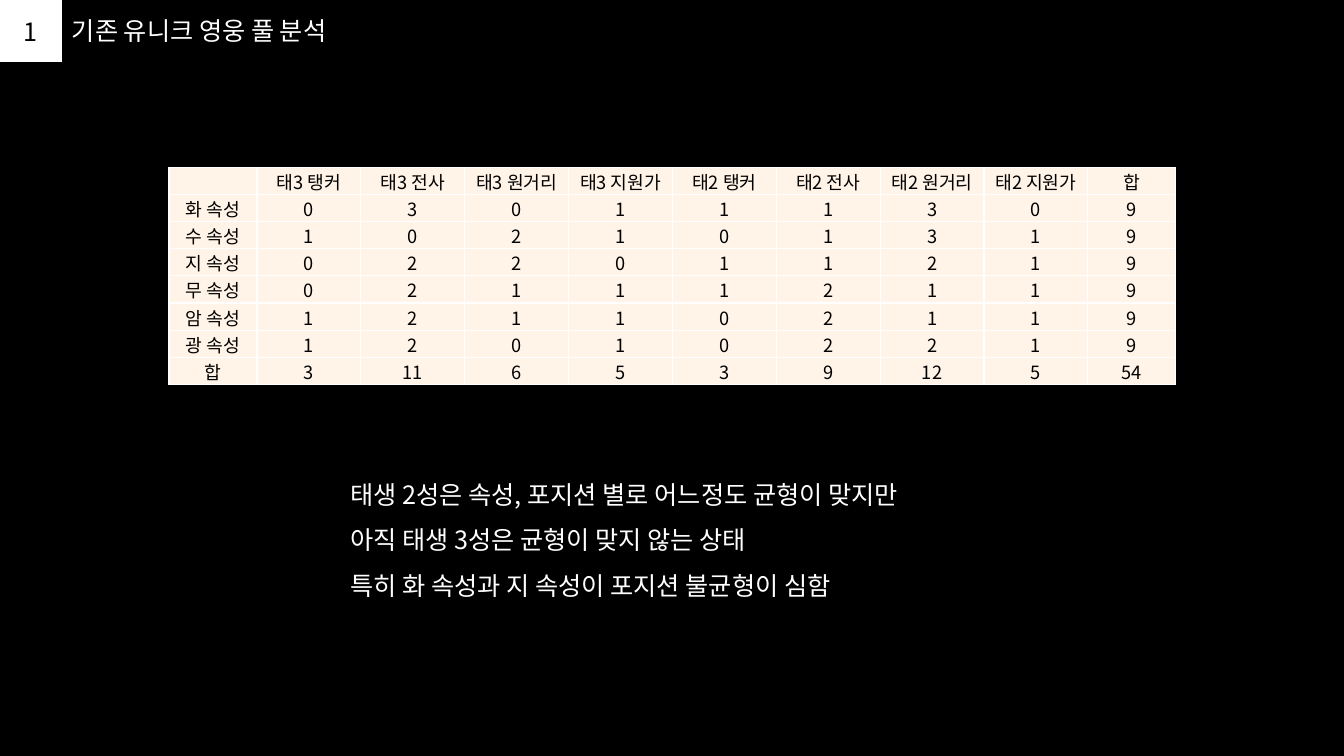
"""Builds the slide that analyses the existing unique hero pool."""
from lxml import etree
from pptx import Presentation
from pptx.dml.color import RGBColor
from pptx.enum.shapes import MSO_SHAPE
from pptx.enum.text import MSO_ANCHOR, MSO_AUTO_SIZE, PP_ALIGN
from pptx.oxml.ns import qn
from pptx.util import Pt

SECTION = "1"
TITLE = "기존 유니크 영웅 풀 분석"
HERO_COUNTS = [
    ("", "태3 탱커", "태3 전사", "태3 원거리", "태3 지원가",
     "태2 탱커", "태2 전사", "태2 원거리", "태2 지원가", "합"),
    ("화 속성", 0, 3, 0, 1, 1, 1, 3, 0, 9),
    ("수 속성", 1, 0, 2, 1, 0, 1, 3, 1, 9),
    ("지 속성", 0, 2, 2, 0, 1, 1, 2, 1, 9),
    ("무 속성", 0, 2, 1, 1, 1, 2, 1, 1, 9),
    ("암 속성", 1, 2, 1, 1, 0, 2, 1, 1, 9),
    ("광 속성", 1, 2, 0, 1, 0, 2, 2, 1, 9),
    ("합", 3, 11, 6, 5, 3, 9, 12, 5, 54),
]
FINDINGS = [
    "태생 2성은 속성, 포지션 별로 어느정도 균형이 맞지만",
    "아직 태생 3성은 균형이 맞지 않는 상태",
    "특히 화 속성과 지 속성이 포지션 불균형이 심함",
]

COLORS = {"black": "000000", "white": "FFFFFF", "cream": "FFF4E7"}
FONT = "Noto Sans CJK KR"
LEFT, CENTER = PP_ALIGN.LEFT, PP_ALIGN.CENTER
TOP, MIDDLE = MSO_ANCHOR.TOP, MSO_ANCHOR.MIDDLE
BADGE_SIDE = 44.2
EDGE_WIDTH, INNER_WIDTH, ROW_HEIGHT = 62.9, 74.2, 19.1


def rgb(name):
    return RGBColor.from_string(COLORS[name])


def write(frame, text, size=18, color="white", align=LEFT, anchor=MIDDLE, spacing=None):
    frame.word_wrap = True
    frame.vertical_anchor = anchor
    for index, line in enumerate(text.split("\n")):
        paragraph = frame.add_paragraph() if index else frame.paragraphs[0]
        paragraph.alignment = align
        if spacing:
            paragraph.line_spacing = spacing
        if not line:
            etree.SubElement(paragraph._p, qn("a:endParaRPr"), sz=str(size * 100))
            continue
        run = paragraph.add_run()
        run.text = line
        run.font.size = Pt(size)
        run.font.name = FONT
        run.font.color.rgb = rgb(color)
        etree.SubElement(run.font._element, qn("a:ea"), typeface=FONT)


def outline_cell(cell):
    properties = cell._tc.get_or_add_tcPr()
    for position, side in enumerate(("lnL", "lnR", "lnT", "lnB")):
        border = etree.Element(qn(f"a:{side}"), w=str(Pt(1)))
        fill = etree.SubElement(border, qn("a:solidFill"))
        etree.SubElement(fill, qn("a:srgbClr"), val=COLORS["white"])
        properties.insert(position, border)


def add_hero_table(slide):
    columns = len(HERO_COUNTS[0])
    widths = [EDGE_WIDTH] + [INNER_WIDTH] * (columns - 2) + [EDGE_WIDTH]
    table = slide.shapes.add_table(
        len(HERO_COUNTS), columns, Pt(120.7), Pt(119.4),
        Pt(sum(widths)), Pt(ROW_HEIGHT * len(HERO_COUNTS))).table
    for column, width in zip(table.columns, widths):
        column.width = Pt(width)
    for row, values in zip(table.rows, HERO_COUNTS):
        row.height = Pt(ROW_HEIGHT)
        for cell, value in zip(row.cells, values):
            cell.margin_left = cell.margin_right = cell.margin_top = Pt(0.7)
            cell.margin_bottom = 0
            cell.fill.solid()
            cell.fill.fore_color.rgb = rgb("cream")
            outline_cell(cell)
            write(cell.text_frame, str(value), size=13, color="black", align=CENTER)
            cell.vertical_anchor = MIDDLE


def main():
    deck = Presentation()
    deck.slide_width, deck.slide_height = Pt(960), Pt(540)
    slide = deck.slides.add_slide(deck.slide_layouts[5])
    slide.background.fill.solid()
    slide.background.fill.fore_color.rgb = rgb("black")

    add_hero_table(slide)

    findings = slide.shapes.add_textbox(Pt(243.2), Pt(327.6), Pt(473.8), Pt(105.1))
    write(findings.text_frame, "\n".join(FINDINGS), spacing=1.5)

    badge = slide.shapes.add_shape(MSO_SHAPE.RECTANGLE, 0, 0, Pt(BADGE_SIDE), Pt(BADGE_SIDE))
    badge.shadow.inherit = False
    badge.fill.solid()
    badge.fill.fore_color.rgb = rgb("white")
    badge.line.fill.background()
    write(badge.text_frame, SECTION, color="black", align=CENTER)

    title = slide.shapes.title
    title.left, title.top, title.width, title.height = Pt(BADGE_SIDE), Pt(7.6), Pt(245.5), Pt(29.1)
    write(title.text_frame, TITLE, anchor=TOP)
    title.text_frame.auto_size = MSO_AUTO_SIZE.NONE

    deck.save("out.pptx")


if __name__ == "__main__":
    main()
